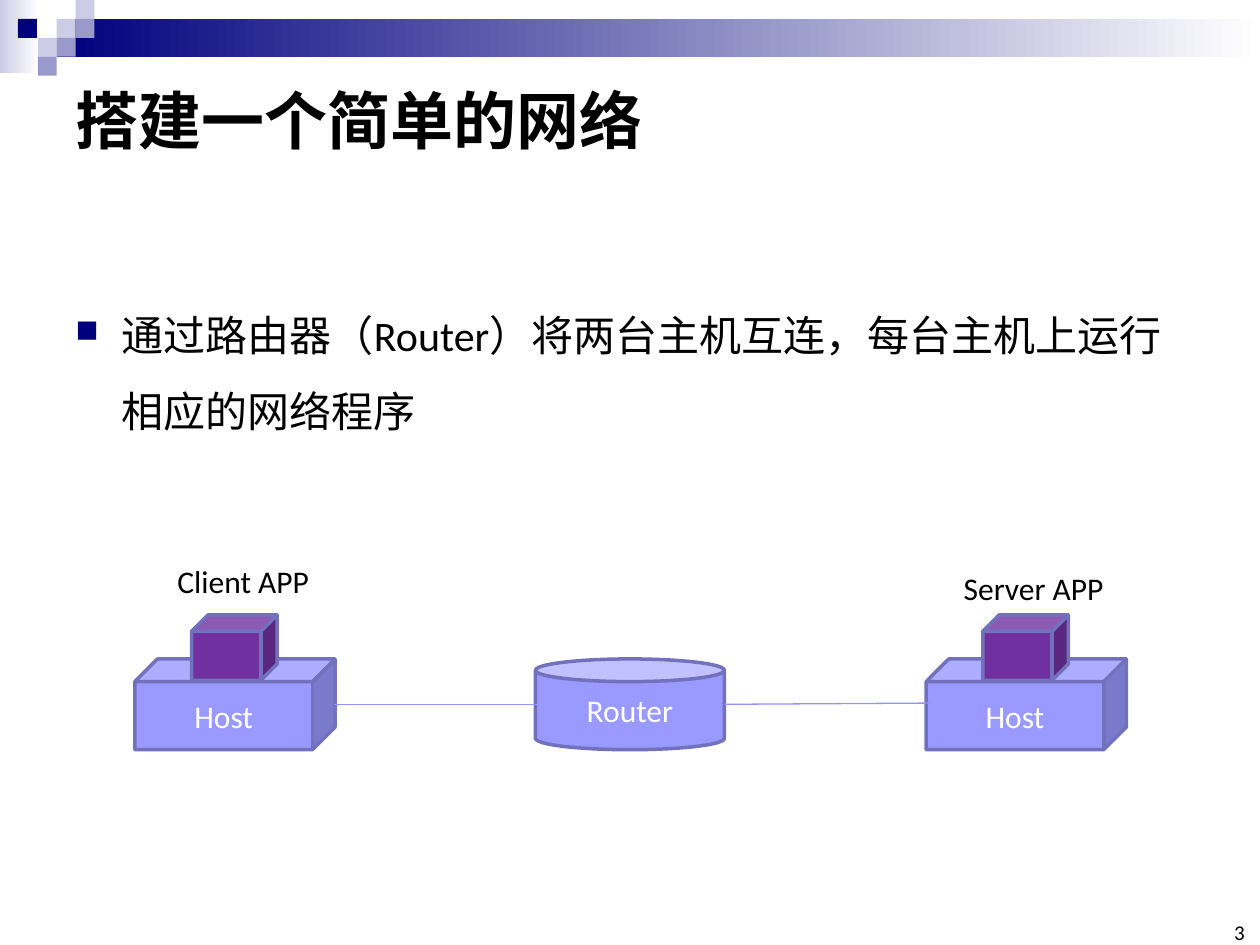
from lxml import etree
from pptx import Presentation
from pptx.dml.color import RGBColor
from pptx.enum.shapes import MSO_CONNECTOR, MSO_SHAPE
from pptx.enum.text import MSO_ANCHOR, PP_ALIGN
from pptx.oxml.ns import qn
from pptx.util import Inches, Pt

RECT, CUBE, CAN = MSO_SHAPE.RECTANGLE, MSO_SHAPE.CUBE, MSO_SHAPE.CAN
STRAIGHT = MSO_CONNECTOR.STRAIGHT
TOP, MIDDLE, BOTTOM = MSO_ANCHOR.TOP, MSO_ANCHOR.MIDDLE, MSO_ANCHOR.BOTTOM
LEFT, CENTER, RIGHT = PP_ALIGN.LEFT, PP_ALIGN.CENTER, PP_ALIGN.RIGHT

COLORS = {
    "navy": "00007D", "pale": "CCCCE6", "mid": "9999CC", "white": "FFFFFF",
    "black": "000000", "node": "9999FF", "edge": "7171BD", "wire": "9393FC",
    "app": "7030A0",
}


def color(name):
    """Return the named colour."""
    return RGBColor.from_string(COLORS[name])


def assign(item, values):
    """Set each attribute in values on item."""
    for key, value in values.items():
        setattr(item, key, value)


def write(shape, text, size, ink="black", bold=False, align=LEFT, frame=None):
    """Write one formatted paragraph into shape and return it."""
    assign(shape.text_frame, {"word_wrap": True, **(frame or {})})
    para = shape.text_frame.paragraphs[0]
    para.alignment = align
    run = para.add_run()
    run.text = text
    assign(run.font, {"name": "Calibri", "size": Pt(size), "bold": bold})
    run.font.color.rgb = color(ink)
    return para


def add_text(slide, box, text, size, **style):
    """Add a text box and return its paragraph."""
    area = slide.shapes.add_textbox(*map(Inches, box))
    return write(area, text, size, **style)


def add_solid(slide, kind, box, fill, line=None):
    """Add a flat shape, outlined if a line colour is given."""
    shape = slide.shapes.add_shape(kind, *map(Inches, box))
    shape.shadow.inherit = False
    shape.fill.solid()
    shape.fill.fore_color.rgb = color(fill)
    if line:
        shape.line.color.rgb = color(line)
        shape.line.width = Pt(2)
    else:
        shape.line.fill.background()
    return shape


def add_fade(slide, box, start):
    """Add a bar that fades from start to white, left to right."""
    bar = add_solid(slide, RECT, box, start)
    bar.fill.gradient()
    bar.fill.gradient_angle = 0
    for stop, name in zip(bar.fill.gradient_stops, (start, "white")):
        stop.color.rgb = color(name)


def add_banner(slide, left, top, width):
    """Place the fading bars and the tile pattern."""
    side = 0.15
    add_fade(slide, (left, top, 0.31, 0.58), "pale")
    add_fade(slide, (left + 3 * side, top + side, width - 3 * side, 2 * side),
             "navy")
    tiles = [(3, 1, "pale"), (4, 0, "pale"), (4, 1, "mid"), (2, 2, "pale"),
             (0.95, 1, "navy"), (3, 2, "mid"), (2, 3, "mid")]
    for col, row, fill in tiles:
        box = (left + col * side, top + row * side, side, side)
        add_solid(slide, RECT, box, fill)


def add_title(slide, box, text):
    """Move and fill the title placeholder."""
    title = slide.shapes.title
    assign(title, dict(zip(("left", "top", "width", "height"),
                           map(Inches, box))))
    write(title, text, 36, bold=True, frame={"vertical_anchor": MIDDLE})


def add_bullet(slide, box, text):
    """Place a paragraph with a square bullet."""
    para = add_text(slide, box, text, 24, frame={"vertical_anchor": TOP})
    para.line_spacing = 1.5
    props = para._p.get_or_add_pPr()
    props.set("marL", str(Inches(0.37)))
    props.set("indent", str(Inches(-0.37)))
    tint = etree.SubElement(props, qn("a:buClr"))
    etree.SubElement(tint, qn("a:srgbClr"), val=COLORS["navy"])
    etree.SubElement(props, qn("a:buSzPct"), val="75000")
    etree.SubElement(props, qn("a:buChar"), char="■")


def add_node(slide, kind, box, text):
    """Place a labelled network device."""
    node = add_solid(slide, kind, box, "node", "edge")
    write(node, text, 18, ink="white", align=CENTER,
          frame={"vertical_anchor": MIDDLE})


def add_wire(slide, start, end):
    """Place a thin line from start to end."""
    wire = slide.shapes.add_connector(STRAIGHT, *map(Inches, start + end))
    wire.line.color.rgb = color("wire")
    wire.line.width = Pt(0.75)
    etree.SubElement(wire._element.spPr, qn("a:effectLst"))


def add_host(slide, left, top, name, shift, rise):
    """Place a host with its program on top and the program's name."""
    add_node(slide, CUBE, (left, top, 1.59, 0.72), "Host")
    add_solid(slide, CUBE, (left + 0.45, top - 0.35, 0.68, 0.52),
              "app", "edge")
    add_text(slide, (left + shift, top - rise, 1.32, 0.4), name, 18,
             frame={"word_wrap": False})


def add_network(slide, left, top):
    """Place two hosts joined through a router."""
    mid = top + 0.36
    add_node(slide, CAN, (left + 3.18, top, 1.5, 0.72), "Router")
    add_host(slide, left, top, "Client APP", 0.24, 0.82)
    add_host(slide, left + 6.28, top, "Server APP", 0.2, 0.76)
    add_wire(slide, (left + 1.58, mid), (left + 3.21, mid))
    add_wire(slide, (left + 4.68, mid), (left + 6.31, mid - 0.01))


def add_number(slide, box, text):
    """Place the page number."""
    sides = ("left", "top", "right", "bottom")
    frame = {f"margin_{side}": 0 for side in sides}
    add_text(slide, box, text, 12, align=RIGHT,
             frame={"vertical_anchor": BOTTOM, **frame})


def main():
    """Build and save the slide."""
    deck = Presentation()
    assign(deck, {"slide_width": Inches(10), "slide_height": Inches(7.5)})
    slide = deck.slides.add_slide(deck.slide_layouts[5])
    add_banner(slide, 0, 0, 10)
    add_title(slide, (0.5, 0.5, 9, 0.89), "搭建一个简单的网络")
    add_number(slide, (9.65, 7.33, 0.23, 0.17), "3")
    add_network(slide, 1.07, 5.23)
    add_bullet(slide, (0.5, 2.21, 9, 1.34),
               "通过路由器（Router）将两台主机互连，每台主机上运行相应的网络程序")
    deck.save("out.pptx")


if __name__ == "__main__":
    main()
